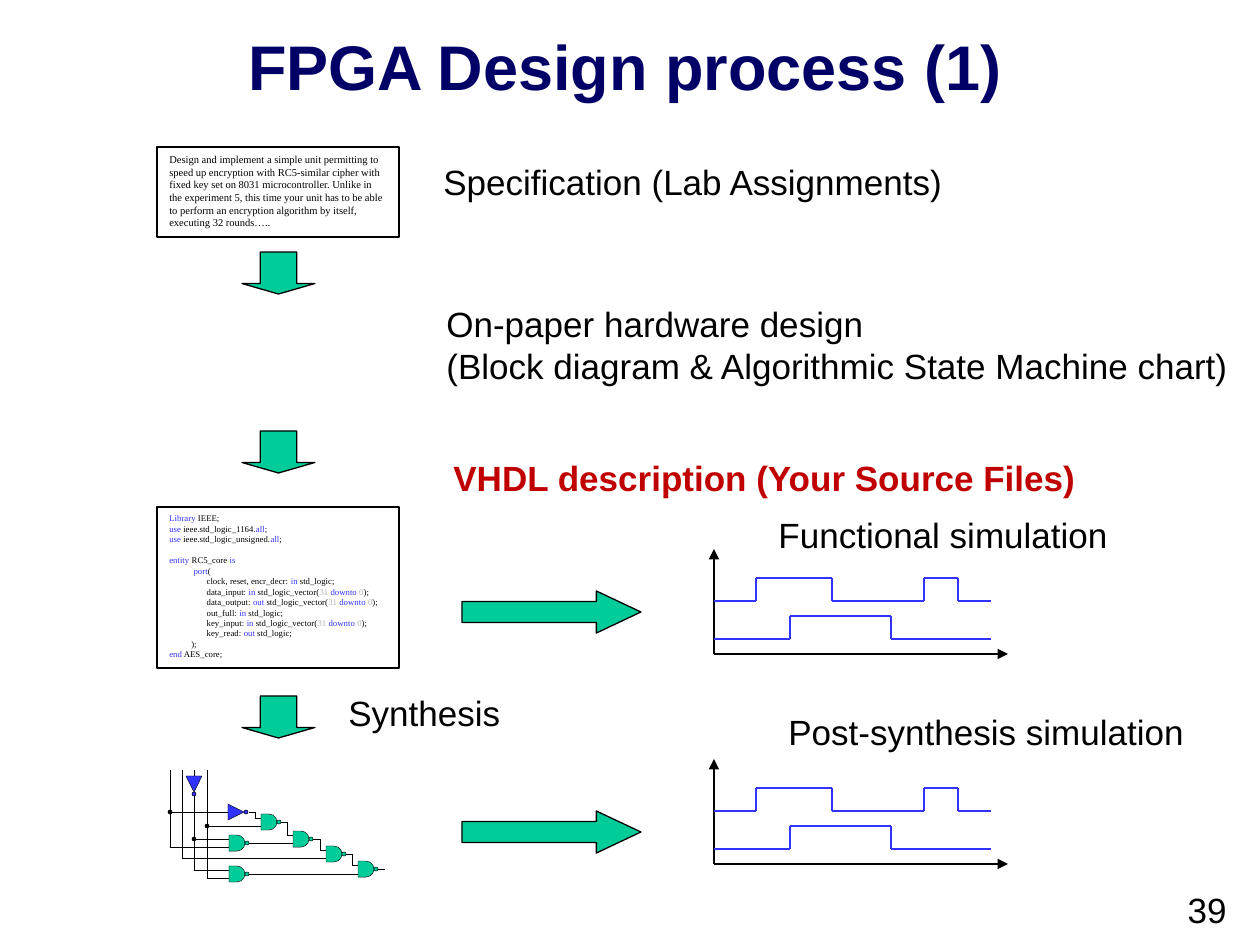
from itertools import pairwise

from pptx import Presentation
from pptx.dml.color import RGBColor
from pptx.enum.shapes import MSO_CONNECTOR, MSO_SHAPE
from pptx.enum.text import MSO_ANCHOR, PP_ALIGN
from pptx.oxml.ns import qn
from pptx.util import Emu, Pt
from lxml.etree import SubElement

SCALE = 914400 / 126
BLACK, WHITE, NAVY, RED = "000000", "FFFFFF", "000066", "C00000"
GREEN, BLUE, GREY = "00CC99", "3333FF", "B2B2B2"

TITLE = "FPGA Design process (1)"
SPEC = ("Design and implement a simple unit permitting to speed up encryption with "
        "RC5-similar cipher with fixed key set on 8031 microcontroller. Unlike in the "
        "experiment 5, this time your unit has to be able to perform an encryption "
        "algorithm by itself, executing 32 rounds…..")

# Bars separate differently coloured pieces of a line
KEYWORDS = {"Library", "use", "all", "entity", "is", "port", "in", "out", "downto", "end"}
CODE = [
    "Library| IEEE;",
    "use| ieee.std_logic_1164.|all|;",
    "use| ieee.std_logic_unsigned.|all|;",
    "",
    "entity| RC5_core |is",
    "           |port|(",
    "                 clock, reset, encr_decr: |in| std_logic;",
    "                 data_input: |in| std_logic_vector(|31 |downto |0|);",
    "                 data_output: |out| std_logic_vector(|31 |downto |0|);",
    "                 out_full: |in| std_logic;",
    "                 key_input: |in| std_logic_vector(|31 |downto |0|);",
    "                 key_read: |out| std_logic;",
    "          );",
    "end| AES_core;",
]

# Text, box, colour, bold
LABELS = [
    (["Specification (Lab Assignments)"], (431, 154, 540, 55), BLACK, False),
    (["VHDL description (Your Source Files)"], (441, 450, 665, 55), RED, True),
    (["Functional simulation"], (766, 507, 370, 54), BLACK, False),
    (["Post-synthesis simulation"], (776, 704, 442, 54), BLACK, False),
    (["Synthesis"], (336, 685, 190, 54), BLACK, False),
    (["On-paper hardware design", "(Block diagram & Algorithmic State Machine chart)"],
     (434, 296, 820, 97), BLACK, False),
]

DOWN_ARROW_TOPS = [252, 431, 696]
RIGHT_ARROW_TOPS = [591, 811]

# Circuit: gate corners, junction centres and wire routes
GATE, BUBBLE = 16, 4
GATES = [(229, 835), (229, 866), (261, 814), (293, 831), (326, 846), (358, 861)]
JUNCTIONS = [(170, 812), (207, 826), (194, 839)]
WIRES = [
    [(170, 770), (170, 847), (229, 847)],
    [(182, 770), (182, 858), (326, 858)],
    [(194, 770), (194, 776)],
    [(194, 796), (194, 870), (229, 870)],
    [(207, 770), (207, 878), (229, 878)],
    [(170, 812), (229, 812)],
    [(249, 812), (255, 812), (255, 818), (261, 818)],
    [(207, 826), (261, 826)],
    [(194, 839), (229, 839)],
    [(249, 843), (293, 843)],
    [(281, 822), (287, 822), (287, 835), (293, 835)],
    [(313, 839), (320, 839), (320, 850), (326, 850)],
    [(346, 854), (352, 854), (352, 865), (358, 865)],
    [(249, 874), (358, 874)],
    [(378, 869), (385, 869)],
]

# Timing diagrams: origins, then edge positions and low level of each signal
ORIGINS = [(714, 654), (714, 864)]
AXIS_W, AXIS_H, PULSE_H = 294, 105, 23
SIGNALS = [([0, 42, 118, 210, 244, 277], 53), ([0, 76, 177, 277], 15)]


def px(n):
    return Emu(round(n * SCALE))


def rgb(value):
    return RGBColor.from_string(value)


def add_shape(shapes, kind, box, fill=None, line=BLACK, weight=0.75, rotation=0):
    sp = shapes.add_shape(kind, *map(px, box))
    sp.shadow.inherit = False
    sp.rotation = rotation
    if fill:
        sp.fill.solid()
        sp.fill.fore_color.rgb = rgb(fill)
    else:
        sp.fill.background()
    sp.line.color.rgb = rgb(line)
    sp.line.width = Pt(weight)
    return sp


def add_path(shapes, points, color=BLACK, weight=0.75, arrow=False):
    for start, end in pairwise(points):
        line = shapes.add_connector(MSO_CONNECTOR.STRAIGHT, *map(px, start + end))
        line.line.color.rgb = rgb(color)
        line.line.width = Pt(weight)
        props = line._element.spPr
        if arrow:
            SubElement(props.find(qn("a:ln")), qn("a:tailEnd"), type="triangle")
        SubElement(props, qn("a:effectLst"))


def write(sp, lines, size, font="Arial", color=BLACK, bold=False, align=PP_ALIGN.LEFT):
    tf = sp.text_frame
    tf.word_wrap = True
    tf.vertical_anchor = MSO_ANCHOR.TOP
    for i, line in enumerate(lines):
        p = tf.add_paragraph() if i else tf.paragraphs[0]
        p.alignment = align
        p.font.size, p.font.name, p.font.bold = Pt(size), font, bold
        p.font.color.rgb = rgb(color)
        for piece in line.split("|") if line else []:
            r = p.add_run()
            r.text = piece
            if piece.strip() in KEYWORDS:
                r.font.color.rgb = rgb(BLUE)
            elif piece.strip().isdigit() and len(line) > len(piece):
                r.font.color.rgb = rgb(GREY)


def add_text(shapes, box, lines, size, **style):
    sp = shapes.add_textbox(*map(px, box))
    write(sp, lines, size, **style)
    return sp


def add_circuit(slide):
    shapes = slide.shapes.add_group_shape().shapes

    def part(kind, x, y, side, fill, rotation=0):
        add_shape(shapes, kind, (x, y, side, side), fill, weight=0.25, rotation=rotation)

    for route in WIRES:
        add_path(shapes, route, weight=0.25)
    for x, y in GATES:
        part(MSO_SHAPE.FLOWCHART_DELAY, x, y, GATE, GREEN)
        part(MSO_SHAPE.OVAL, x + GATE, y + 6, BUBBLE, GREEN)
    # Inverters point down and right
    for x, y, rotation, dx, dy in [(186, 776, 180, 6, GATE), (228, 804, 90, GATE, 6)]:
        part(MSO_SHAPE.ISOSCELES_TRIANGLE, x, y, GATE, BLUE, rotation)
        part(MSO_SHAPE.OVAL, x + dx, y + dy, BUBBLE, BLUE)
    for x, y in JUNCTIONS:
        part(MSO_SHAPE.OVAL, x - 2, y - 2, BUBBLE, BLACK)


def add_timing(slide, x, y):
    shapes = slide.shapes.add_group_shape().shapes
    for end in [(x, y - AXIS_H), (x + AXIS_W, y)]:
        add_path(shapes, [(x, y), end], arrow=True)
    for edges, low in SIGNALS:
        points = []
        for i, (left, right) in enumerate(pairwise(edges)):
            level = y - low - PULSE_H * (i % 2)
            points += [(x + left, level), (x + right, level)]
        add_path(shapes, points, BLUE)


prs = Presentation()
prs.slide_width, prs.slide_height = px(1260), px(945)
slide = prs.slides.add_slide(prs.slide_layouts[6])
shapes = slide.shapes

# Title
title = add_text(shapes, (116, 21, 1018, 116), [TITLE], 36, color=NAVY, bold=True,
                 align=PP_ALIGN.CENTER)
title.fill.solid()
title.fill.fore_color.rgb = rgb(WHITE)

# Specification and source code boxes
for box, lines, size in [((157, 147, 242, 90), [SPEC], 6), ((157, 507, 242, 161), CODE, 5)]:
    write(add_shape(shapes, MSO_SHAPE.RECTANGLE, box), lines, size, font="Times New Roman")

# Diagrams
add_circuit(slide)
for origin in ORIGINS:
    add_timing(slide, *origin)

# Flow arrows
for top in DOWN_ARROW_TOPS:
    sp = add_shape(shapes, MSO_SHAPE.DOWN_ARROW, (242, top, 73, 42), GREEN)
    sp.adjustments[1] = 0.25
for top in RIGHT_ARROW_TOPS:
    sp = add_shape(shapes, MSO_SHAPE.RIGHT_ARROW, (462, top, 179, 42), GREEN)
    sp.adjustments[1] = 1.06

# Labels and page number
for lines, box, color, bold in LABELS:
    add_text(shapes, box, lines, 20, color=color, bold=bold)
add_text(shapes, (977, 882, 262, 63), ["39"], 20, align=PP_ALIGN.RIGHT)

prs.save("out.pptx")
